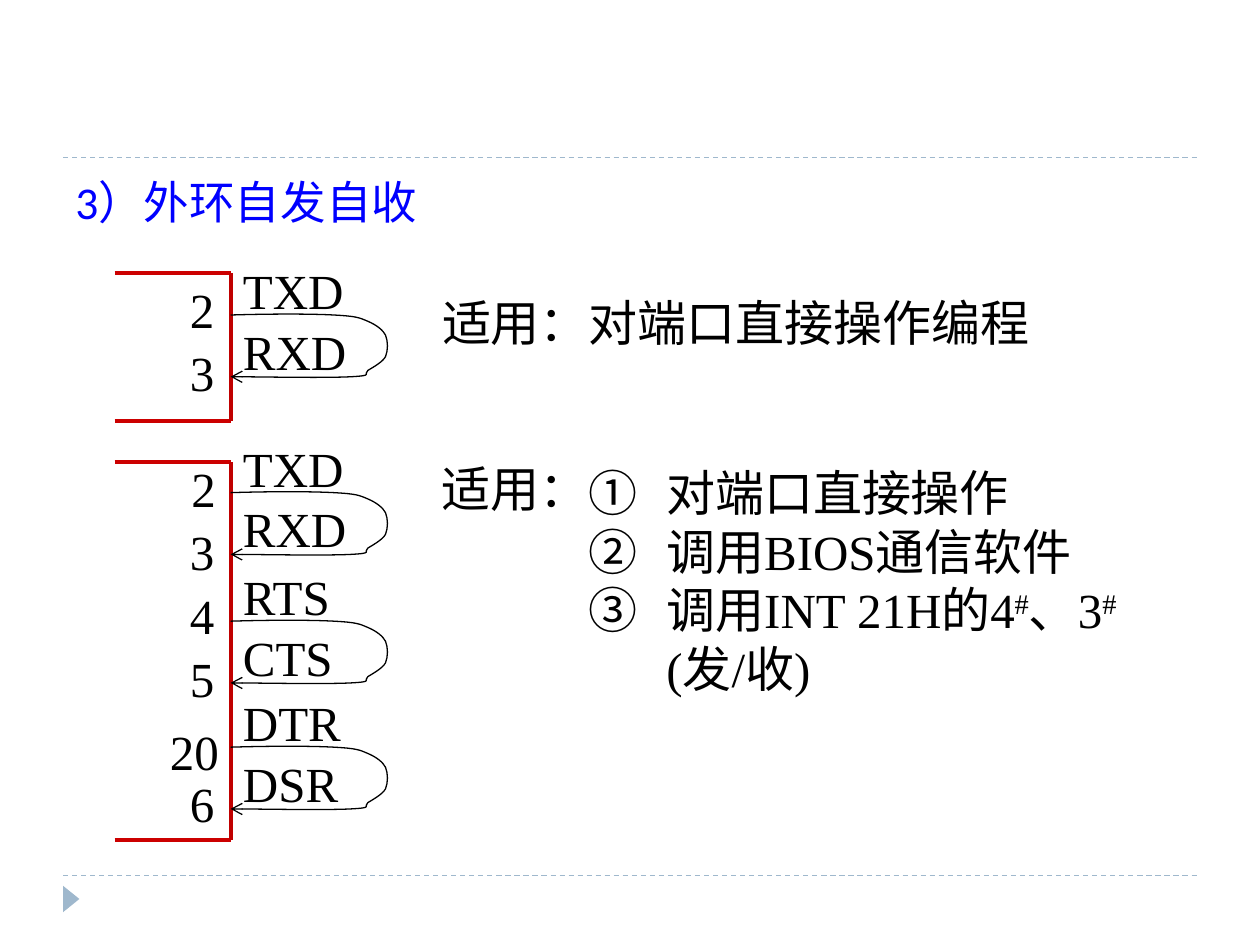
from dataclasses import dataclass, field

from lxml import etree
from pptx import Presentation
from pptx import util as u
from pptx.dml.color import RGBColor
from pptx.enum import dml, shapes, text
from pptx.oxml.ns import qn


@dataclass(frozen=True)
class Theme:
    black: str = "000000"
    white: str = "FFFFFF"
    blue: str = "0000FF"
    red: str = "CC0000"
    dark_red: str = "C00000"
    accent: str = "9FB8CD"
    thin: float = 0.75
    thick: float = 2.25
    body: dict = field(default_factory=lambda: {"name": "Times New Roman", "size": u.Pt(28)})
    heading: dict = field(default_factory=lambda: {"name": "Calibri", "size": u.Pt(26)})


@dataclass(frozen=True)
class Pin:
    number: str
    signal: str
    number_top: float
    number_left: float = 1.41


@dataclass(frozen=True)
class Loopback:
    top: float
    send: Pin
    receive: Pin
    ruled: bool = False


@dataclass(frozen=True)
class Bracket:
    top: float
    bottom: float


THEME = Theme()
PORT_LEFT, PORT_EDGE = 0.91, 1.83
SIGNAL_GAP = 0.48
TEXT_HEIGHT = 0.57
RULE_LEFT = 1.91
RULE_ENDS = [(0.14, 2.58), (0.64, 2.66)]
LOOP_POINTS = [
    (0, 0),
    (0.32, -0.01), (0.64, -0.01), (0.82, 0),
    (1, 0.01), (1.02, 0.02), (1.09, 0.05),
    (1.16, 0.08), (1.21, 0.12), (1.23, 0.16),
    (1.25, 0.21), (1.25, 0.28), (1.23, 0.33),
    (1.21, 0.37), (1.14, 0.41), (1.09, 0.44),
    (1.05, 0.47), (1.14, 0.48), (0.96, 0.49),
    (0.77, 0.5), (0.16, 0.49), (0, 0.49),
]
BRACKETS = [Bracket(2.17, 3.34), Bracket(3.67, 6.67)]
LOOPBACKS = [
    Loopback(2.02, Pin("2", "TXD", 2.17), Pin("3", "RXD", 2.67)),
    Loopback(3.43, Pin("2", "TXD", 3.59, 1.42), Pin("3", "RXD", 4.09)),
    Loopback(4.45, Pin("4", "RTS", 4.6), Pin("5", "CTS", 5.1), ruled=True),
    Loopback(5.45, Pin("20", "DTR", 5.68, 1.25), Pin("6", "DSR", 6.09), ruled=True),
]
USES = [
    [("对端口直接操作", False)],
    [("调用BIOS通信软件", False)],
    [("调用INT 21H的4", False), ("#", True), ("、3", False), ("# ", True), ("(发/收)", False)],
]


def add_line(slide, start: tuple, end: tuple, color: str, width: float, dashed: bool = False) -> None:
    connector = slide.shapes.add_connector(
        shapes.MSO_CONNECTOR.STRAIGHT, *(u.Inches(value) for value in (*start, *end)))
    connector.line.color.rgb = RGBColor.from_string(color)
    connector.line.width = u.Pt(width)
    if dashed:
        connector.line.dash_style = dml.MSO_LINE.DASH
    etree.SubElement(connector._element.spPr, qn("a:effectLst"))


def add_frame(slide, left: float, top: float, width: float, height: float = TEXT_HEIGHT):
    box = slide.shapes.add_textbox(*(u.Inches(value) for value in (left, top, width, height)))
    frame = box.text_frame
    frame.word_wrap = True
    frame.auto_size = text.MSO_AUTO_SIZE.NONE
    return frame


def add_run(paragraph, words: str, style: dict, color: str = THEME.black, raised: bool = False) -> None:
    run = paragraph.add_run()
    run.text = words
    for name, value in style.items():
        setattr(run.font, name, value)
    run.font.color.rgb = RGBColor.from_string(color)
    if raised:
        run._r.get_or_add_rPr().set("baseline", "30000")


def add_label(slide, words: str, left: float, top: float, width: float) -> None:
    add_run(add_frame(slide, left, top, width).paragraphs[0], words, THEME.body)


def add_bracket(slide, bracket: Bracket) -> None:
    for y in (bracket.top, bracket.bottom):
        add_line(slide, (PORT_LEFT, y), (PORT_EDGE, y), THEME.red, THEME.thick)
    add_line(slide, (PORT_EDGE, bracket.top), (PORT_EDGE, bracket.bottom), THEME.dark_red, THEME.thick)


def bend_segments(shape) -> None:
    segments = list(shape._element.iter(qn("a:lnTo")))
    outline = segments[0].getparent()
    for first in range(0, len(segments), 3):
        curve = etree.SubElement(outline, qn("a:cubicBezTo"))
        for segment in segments[first:first + 3]:
            curve.append(segment[0])
            outline.remove(segment)


def add_loop(slide, top: float) -> None:
    start, *rest = [(u.Inches(PORT_EDGE + x), u.Inches(top + y)) for x, y in LOOP_POINTS]
    builder = slide.shapes.build_freeform(*start, scale=1.0)
    builder.add_line_segments(rest, close=False)
    shape = builder.convert_to_shape()
    bend_segments(shape)
    shape.shadow.inherit = False
    shape.fill.background()
    shape.line.color.rgb = RGBColor.from_string(THEME.black)
    shape.line.width = u.Pt(THEME.thin)
    etree.SubElement(shape.line._get_or_add_ln(), qn("a:tailEnd"), type="arrow")


def add_loopback(slide, loopback: Loopback) -> None:
    for row, pin in enumerate((loopback.send, loopback.receive)):
        add_label(slide, pin.number, pin.number_left, pin.number_top, 0.67)
        add_label(slide, pin.signal, PORT_EDGE, loopback.top + row * SIGNAL_GAP, 1.42)
    add_loop(slide, loopback.top + SIGNAL_GAP)
    if loopback.ruled:
        for drop, right in RULE_ENDS:
            y = loopback.top + drop
            add_line(slide, (RULE_LEFT, y), (right, y), THEME.white, THEME.thin)


def add_uses(slide) -> None:
    frame = add_frame(slide, 4.57, 3.62, 4.92, 1.97)
    indent = u.Inches(0.62)
    for index, pieces in enumerate(USES):
        paragraph = frame.add_paragraph() if index else frame.paragraphs[0]
        properties = paragraph._p.get_or_add_pPr()
        properties.set("marL", str(indent))
        properties.set("indent", str(-indent))
        etree.SubElement(properties, qn("a:buAutoNum"), type="circleNumDbPlain")
        for words, raised in pieces:
            add_run(paragraph, words, THEME.body, raised=raised)


def add_decoration(slide) -> None:
    for y in (6.95, 1.25):
        add_line(slide, (0.5, y), (9.5, y), THEME.accent, THEME.thin, dashed=True)
    marker = slide.shapes.add_shape(
        shapes.MSO_SHAPE.ISOSCELES_TRIANGLE,
        *(u.Inches(value) for value in (0.46, 7.07, 0.21, 0.13)))
    marker.rotation = 90
    marker.shadow.inherit = False
    marker.fill.solid()
    marker.fill.fore_color.rgb = RGBColor.from_string(THEME.accent)
    marker.line.fill.background()


def main() -> None:
    presentation = Presentation()
    presentation.slide_width = u.Inches(10)
    presentation.slide_height = u.Inches(7.5)
    slide = presentation.slides.add_slide(presentation.slide_layouts[6])
    add_decoration(slide)
    heading = add_frame(slide, 0.5, 1.33, 9, 5.4).paragraphs[0]
    add_run(heading, "3）外环自发自收", THEME.heading, THEME.blue)
    for bracket in BRACKETS:
        add_bracket(slide, bracket)
    for loopback in LOOPBACKS:
        add_loopback(slide, loopback)
    add_label(slide, "适用：对端口直接操作编程", 3.41, 2.27, 5.75)
    add_uses(slide)
    add_label(slide, "适用：", 3.41, 3.59, 1.66)
    presentation.save("out.pptx")


if __name__ == "__main__":
    main()
